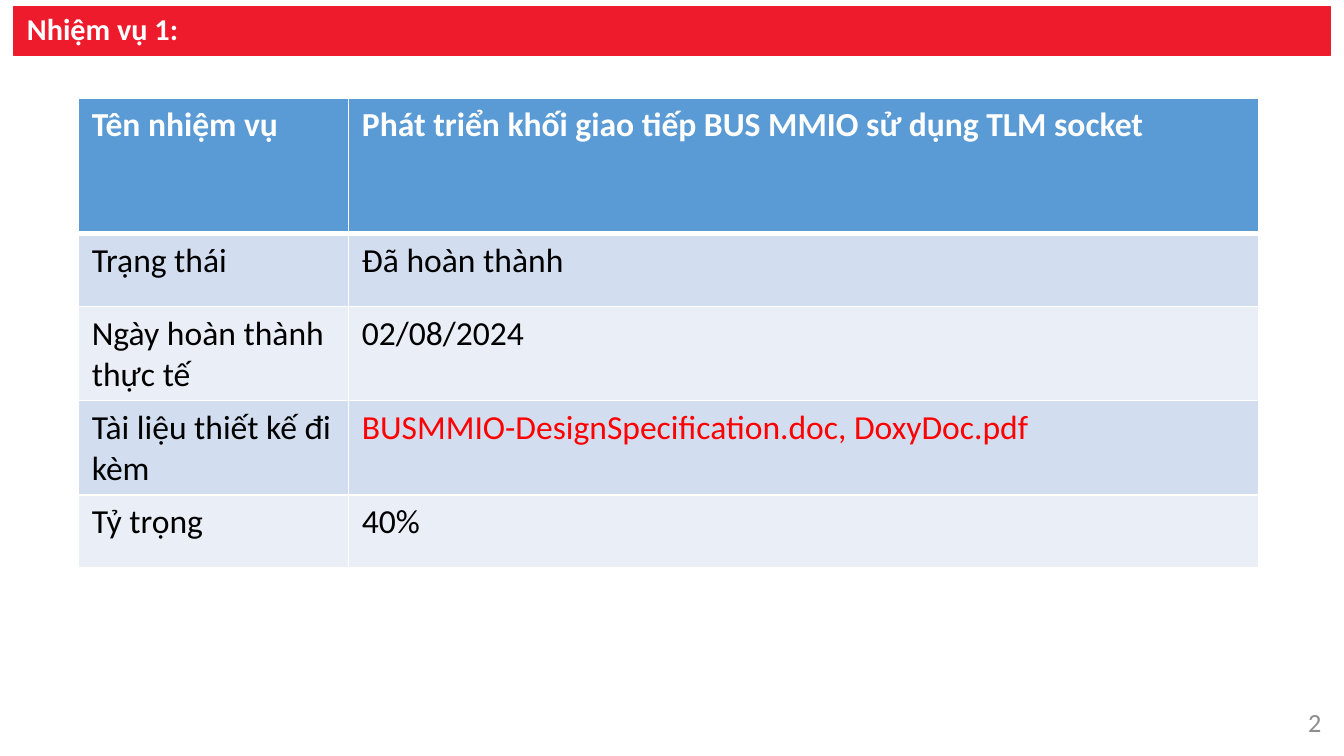
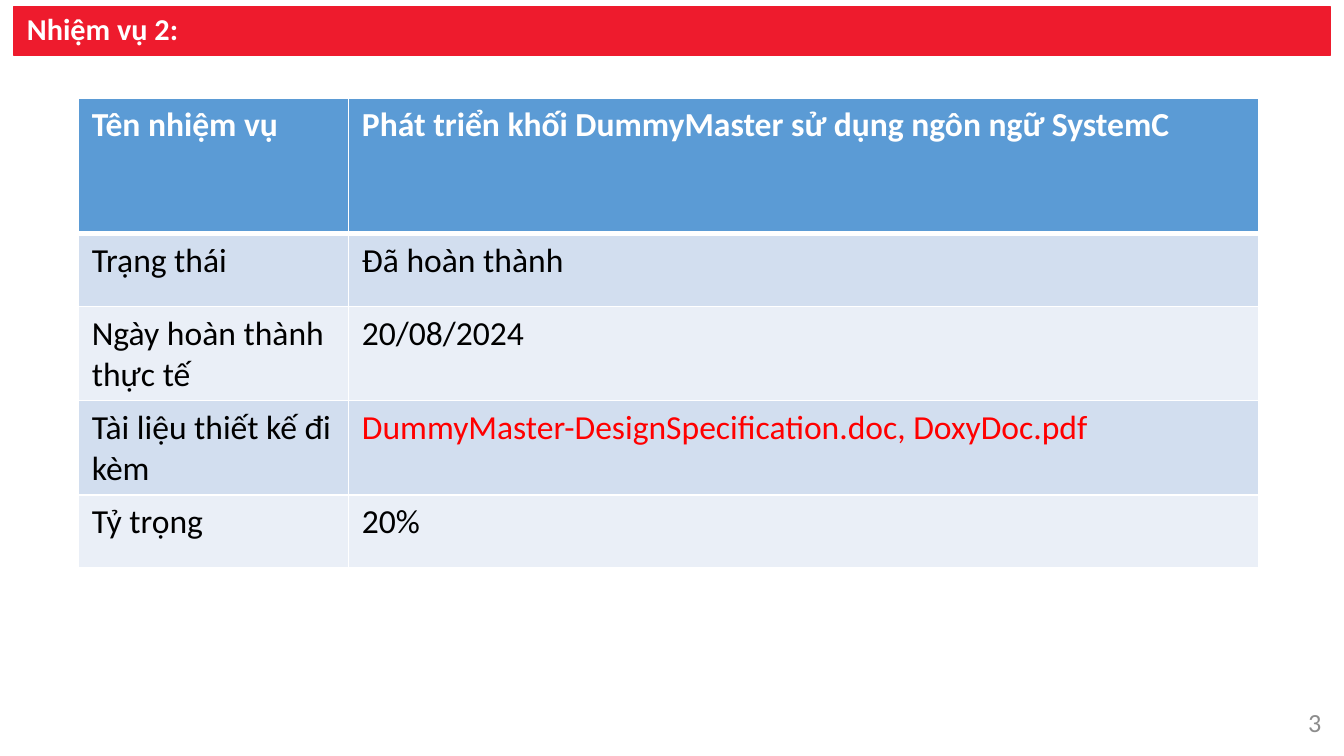
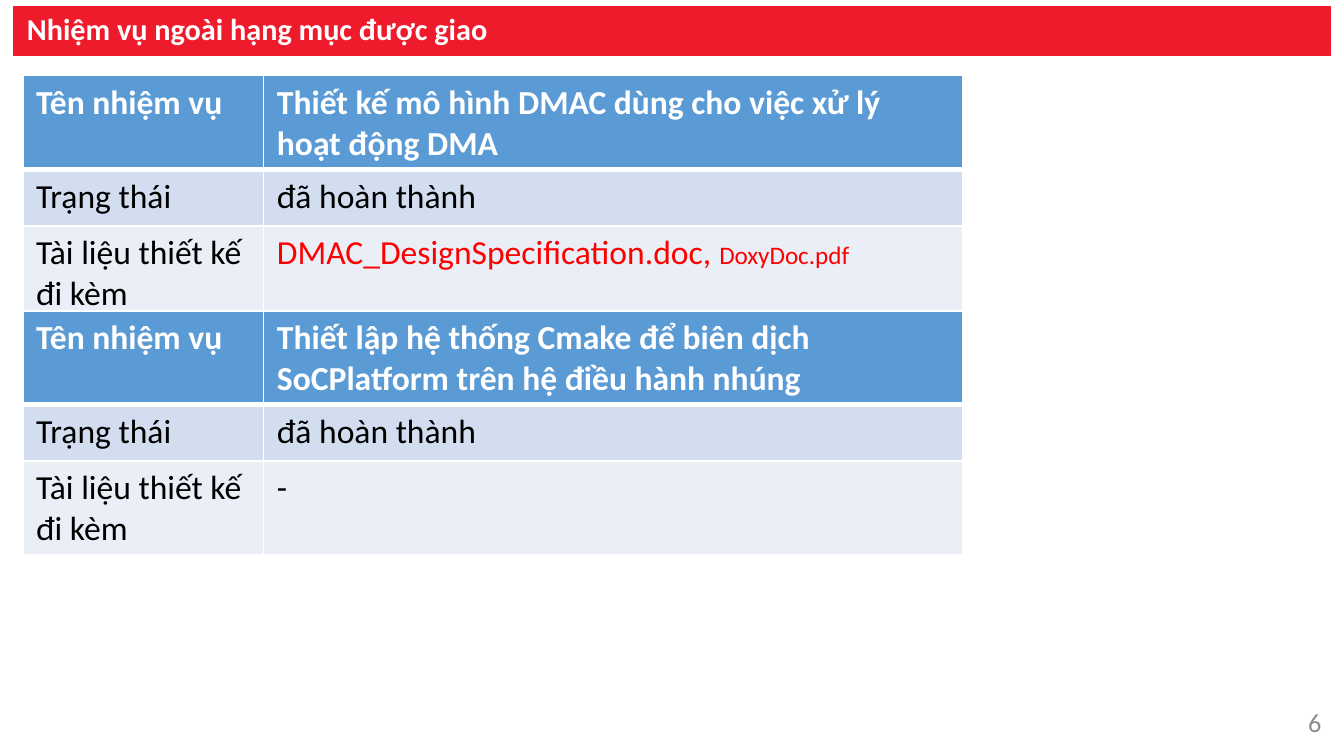
"""Build the task report slides."""
from pptx import Presentation
from pptx.dml.color import RGBColor as RGB
from pptx.enum.text import MSO_ANCHOR as ANCHOR, MSO_AUTO_SIZE as AUTO, PP_ALIGN as ALIGN
from pptx.oxml.ns import qn
from pptx.util import Pt
from lxml.etree import SubElement

FONT = "Calibri"
COLORS = {
    "band": "EE1B2D", "white": "FFFFFF", "number": "8C8C8C", "header": "5B9BD5",
    "odd": "D2DEEF", "even": "EAEFF7", "text": "000000", "file": "FF0000",
}
NAME, STATUS, DATE = "Tên nhiệm vụ", "Trạng thái", "Ngày hoàn thành thực tế"
DOCS, WEIGHT = "Tài liệu thiết kế đi kèm", "Tỷ trọng"
TASKS = [
    ("Nhiệm vụ 1:", 2, "Phát triển khối giao tiếp BUS MMIO sử dụng TLM socket",
     "02/08/2024", "BUSMMIO-DesignSpecification.doc, DoxyDoc.pdf", "40%"),
    ("Nhiệm vụ 2:", 3, "Phát triển khối DummyMaster sử dụng ngôn ngữ SystemC",
     "20/08/2024", "DummyMaster-DesignSpecification.doc, DoxyDoc.pdf", "20%"),
]
EXTRA_TASKS = [
    ("Thiết kế mô hình DMAC dùng cho việc xử lý hoạt động DMA",
     [("DMAC_DesignSpecification.doc, ", 18, "file"), ("DoxyDoc.pdf", 13.5, "file")]),
    ("Thiết lập hệ thống Cmake để biên dịch SoCPlatform trên hệ điều hành nhúng",
     [("-", 18, "text")]),
]


def rgb(name):
    return RGB.from_string(COLORS[name])


def style(r, size, color, bold=False):
    r.font.name, r.font.size, r.font.bold = FONT, Pt(size), bold
    r.font.color.rgb = rgb(color)


def add_title(s, text):
    sp = s.shapes.title
    sp.left, sp.top, sp.width, sp.height = Pt(7.2), Pt(3.6), Pt(705.6), Pt(25.9)
    sp.fill.solid()
    sp.fill.fore_color.rgb = rgb("band")
    sp.line.color.rgb = rgb("band")
    sp.line.width = Pt(1)
    tf = sp.text_frame
    tf.text = text
    tf.auto_size, tf.vertical_anchor = AUTO.NONE, ANCHOR.MIDDLE
    p = tf.paragraphs[0]
    p.alignment, p.line_spacing = ALIGN.LEFT, 0.9
    style(p.runs[0], 16.2, "white", True)


def add_number(s, number):
    tf = s.shapes.add_textbox(Pt(553), Pt(375.8), Pt(162), Pt(21.6)).text_frame
    tf.text = str(number)
    tf.word_wrap, tf.vertical_anchor = True, ANCHOR.MIDDLE
    p = tf.paragraphs[0]
    p.alignment = ALIGN.RIGHT
    style(p.runs[0], 14, "number")


def add_slide(prs, title, number):
    s = prs.slides.add_slide(prs.slide_layouts[5])
    add_title(s, title)
    add_number(s, number)
    return s


def set_borders(cell, top, bottom):
    tc_pr = cell._tc.get_or_add_tcPr()
    for side, width in (("L", 1), ("R", 1), ("T", top), ("B", bottom)):
        ln = SubElement(tc_pr, qn(f"a:ln{side}"), w=str(Pt(width)))
        fill = SubElement(ln, qn("a:solidFill"))
        SubElement(fill, qn("a:srgbClr"), val=COLORS["white"])


def fill_cell(cell, row, runs):
    set_borders(cell, 3 if row == 1 else 1, 3 if row == 0 else 1)
    cell.fill.solid()
    cell.fill.fore_color.rgb = rgb("header" if row == 0 else "odd" if row % 2 else "even")
    p = cell.text_frame.paragraphs[0]
    for text, size, color in runs:
        r = p.add_run()
        r.text = text
        style(r, size, color, row == 0)


def add_task_table(s, left, top, widths, heights, rows):
    table = s.shapes.add_table(len(rows), 2, Pt(left), Pt(top),
                               Pt(sum(widths)), Pt(sum(heights))).table
    for column, width in zip(table.columns, widths):
        column.width = Pt(width)
    for i, (label, value) in enumerate(rows):
        table.rows[i].height = Pt(heights[i])
        color = "white" if i == 0 else "text"
        runs = [(value, 18, color)] if isinstance(value, str) else value
        fill_cell(table.cell(i, 0), i, [(label, 18, color)])
        fill_cell(table.cell(i, 1), i, runs)


def main():
    prs = Presentation()
    prs.slide_width, prs.slide_height = Pt(720), Pt(405)
    for title, number, name, date, docs, weight in TASKS:
        s = add_slide(prs, title, number)
        rows = [(NAME, name), (STATUS, "Đã hoàn thành"), (DATE, date),
                (DOCS, [(docs, 18, "file")]), (WEIGHT, weight)]
        add_task_table(s, 42, 52.6, [144.7, 487.5], [72.7] + [38.9] * 4, rows)
    s = add_slide(prs, "Nhiệm vụ ngoài hạng mục được giao", 6)
    for i, (name, docs) in enumerate(EXTRA_TASKS):
        rows = [(NAME, name), (STATUS, "đã hoàn thành"), (DOCS, docs)]
        add_task_table(s, 12.2, 40.5 + 126 * i, [129, 374.6], [30] * 3, rows)
    prs.save("out.pptx")


if __name__ == "__main__":
    main()
